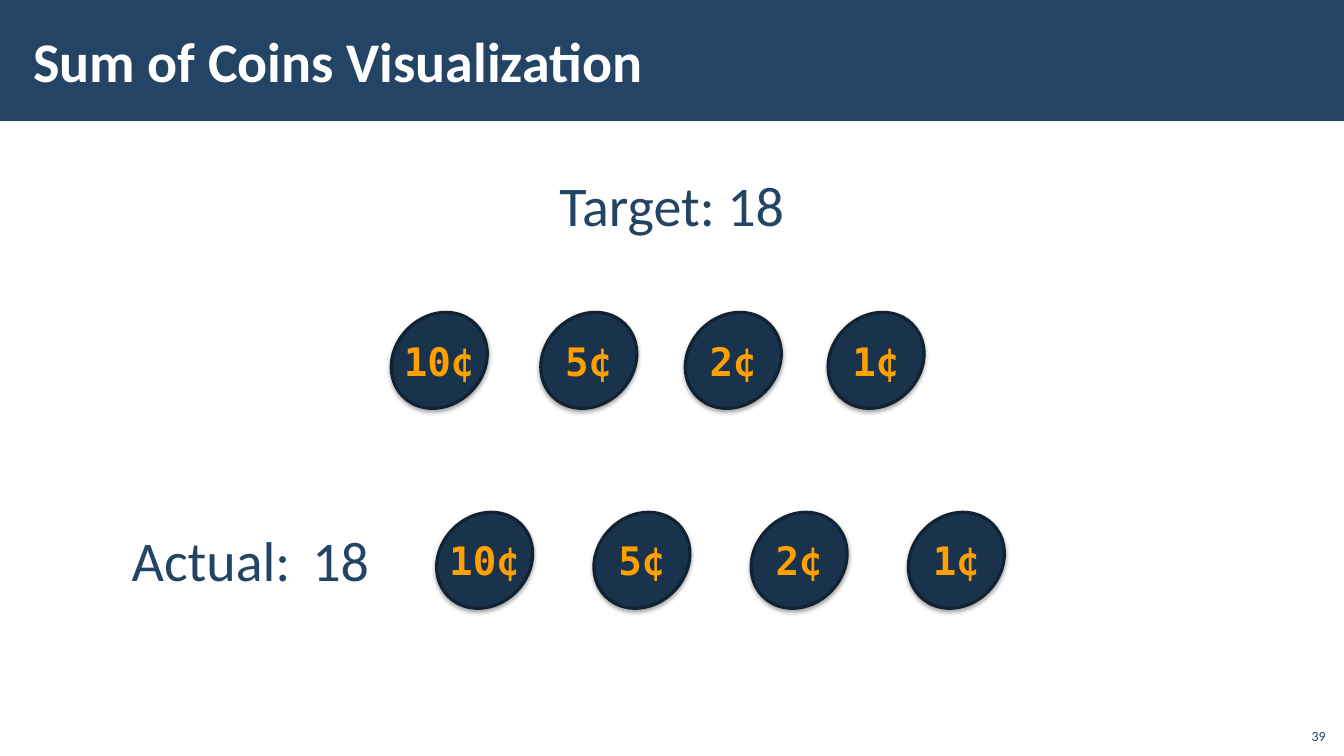
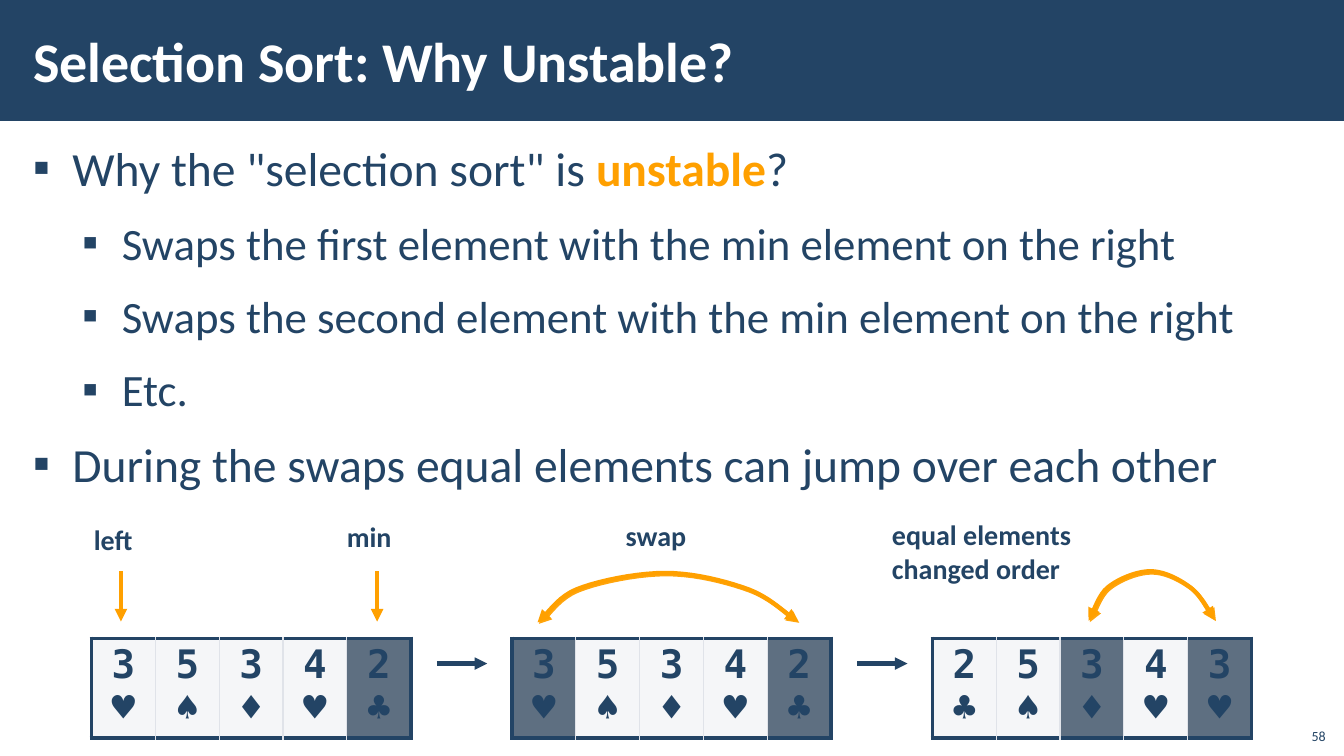
from dataclasses import dataclass

from lxml.etree import SubElement
from pptx import Presentation
from pptx.dml.color import RGBColor
from pptx.enum.shapes import MSO_CONNECTOR, MSO_SHAPE
from pptx.enum.text import MSO_ANCHOR, MSO_AUTO_SIZE, PP_ALIGN
from pptx.oxml.ns import qn
from pptx.presentation import Presentation as Deck
from pptx.slide import Slide
from pptx.text.text import TextFrame
from pptx.util import Emu, Inches, Pt

NAVY = RGBColor(0x23, 0x44, 0x65)
DARK_BLUE = RGBColor(0x1A, 0x33, 0x4C)
COIN_EDGE = RGBColor(0x11, 0x22, 0x33)
ORANGE = RGBColor(0xFF, 0xA0, 0x00)
ORANGE_SHADOW = RGBColor(0xFF, 0xA5, 0x0D)
PALE_GREY = RGBColor(0xE0, 0xE3, 0xE9)
WHITE = RGBColor(0xFF, 0xFF, 0xFF)
BLACK = RGBColor(0x00, 0x00, 0x00)

BODY_FONT = "Calibri"
MONO_FONT = "DejaVu Sans Mono"

SLIDE_WIDTH = Inches(13.33)
SLIDE_HEIGHT = Inches(7.5)
COLUMN_COUNT = 160
ROW_COUNT = 90

COIN_NAMES = ["10¢", "5¢", "2¢", "1¢"]
COIN_TILT = 45
HAND_LEFT = 10.9
HAND_STEP = 50.05
HAND_TOP = 76
CARD_WIDTH = 7.6
CARD_HEIGHT = 11.6
ARC_NODES = [
    (0, 1), (0.03, 0.9), (0.07, 0.5), (0.15, 0.33),
    (0.23, 0.16), (0.38, 0), (0.49, 0),
    (0.6, 0), (0.72, 0.16), (0.81, 0.33),
    (0.9, 0.51), (0.96, 0.86), (1, 0.98),
]
ARC_STEPS = 10


def across(columns: float) -> Emu:
    return Emu(round(SLIDE_WIDTH * columns / COLUMN_COUNT))


def down(rows: float) -> Emu:
    return Emu(round(SLIDE_HEIGHT * rows / ROW_COUNT))


@dataclass(frozen=True)
class Area:
    left: float
    top: float
    width: float
    height: float

    def lengths(self) -> tuple[Emu, Emu, Emu, Emu]:
        return across(self.left), down(self.top), across(self.width), down(self.height)


@dataclass(frozen=True)
class Label:
    lines: tuple[str, ...]
    area: Area
    size: int
    bold: bool = False


@dataclass(frozen=True)
class Bullet:
    spans: tuple[str, ...]
    level: int = 0
    size: int = 34


@dataclass(frozen=True)
class Hand:
    cards: tuple[str, ...]
    marked: tuple[int, ...]


@dataclass(frozen=True)
class Arrow:
    start: tuple[float, float]
    end: tuple[float, float]
    color: RGBColor


BULLETS = [
    Bullet(('Why the "selection sort" is ', "unstable", "?")),
    Bullet(("Swaps the first element with the min element on the right",), 1, 32),
    Bullet(("Swaps the second element with the min element on the right",), 1, 32),
    Bullet(("Etc.",), 1, 32),
    Bullet(("During the swaps equal elements can jump over each other",)),
]
HANDS = [
    Hand(("3♥", "5♠", "3♦", "4♥", "2♣"), (4,)),
    Hand(("3♥", "5♠", "3♦", "4♥", "2♣"), (0, 4)),
    Hand(("2♣", "5♠", "3♦", "4♥", "3♥"), (2, 4)),
]
COIN_LABELS = [
    Label(("Target: 18",), Area(65.4, 19.7, 29.5, 9.2), 40),
    Label(("Actual:",), Area(14.5, 62, 21.5, 9.2), 40),
    Label(("18",), Area(36, 62, 9.2, 9.2), 40),
]
SORT_LABELS = [
    Label(("left",), Area(10, 61.6, 7.2, 5.3), 20, True),
    Label(("min",), Area(40.1, 61.3, 7.8, 5.3), 20, True),
    Label(("swap",), Area(73.3, 61.1, 9.7, 5.3), 20, True),
    Label(("equal elements", "changed order"), Area(105, 61, 24.4, 9.2), 20, True),
]
ARROWS = [Arrow((column, 68), (column, 74), ORANGE) for column in (14.4, 44.9)] + [
    Arrow((left + 41.1, 79), (left + 47.1, 79), NAVY)
    for left in (HAND_LEFT, HAND_LEFT + HAND_STEP)
]
ARCS = [Area(64, 68.2, 31, 5.9), Area(129.6, 68, 15, 5.9)]


def set_font(font, size: float, color: RGBColor, bold: bool = False, name: str = BODY_FONT) -> None:
    font.name = name
    font.size = Pt(size)
    font.bold = bold
    font.color.rgb = color


def set_insets(frame: TextFrame, horizontal: float, vertical: float) -> None:
    frame.margin_left = frame.margin_right = Inches(horizontal)
    frame.margin_top = frame.margin_bottom = Inches(vertical)


def add_color(parent, color: RGBColor, opacity: int = 100) -> None:
    tint = SubElement(parent, qn("a:srgbClr"), val=str(color))
    if opacity < 100:
        SubElement(tint, qn("a:alpha"), val=str(opacity * 1000))


def cast_shadow(shape, color: RGBColor, opacity: int, blur: float, distance: float, angle: int) -> None:
    shape.shadow.inherit = False
    effects = shape._element.spPr.find(qn("a:effectLst"))
    outer = SubElement(
        effects, qn("a:outerShdw"), blurRad=str(Pt(blur)), dist=str(Pt(distance)),
        dir=str(angle * 60000), rotWithShape="0",
    )
    add_color(outer, color, opacity)


def add_arrowheads(shape, *ends: str) -> None:
    outline = shape._element.spPr.find(qn("a:ln"))
    for end in ends:
        SubElement(outline, qn(f"a:{end}"), type="triangle")


def add_page(deck: Deck, heading: str, number: str) -> Slide:
    page = deck.slides.add_slide(deck.slide_layouts[5])
    band = page.shapes.add_shape(MSO_SHAPE.RECTANGLE, *Area(0, 0, COLUMN_COUNT, 14.4).lengths())
    band.fill.solid()
    band.fill.fore_color.rgb = NAVY
    band.line.fill.background()
    band.shadow.inherit = False
    page.shapes._spTree.insert(2, band._element)

    title = page.shapes.title
    title.left, title.top, title.width, title.height = Area(2.5, 1.3, 127.6, 11.6).lengths()
    frame = title.text_frame
    frame.text = heading
    frame.auto_size = MSO_AUTO_SIZE.NONE
    frame.vertical_anchor = MSO_ANCHOR.MIDDLE
    set_insets(frame, 0.12, 0.04)
    para = frame.paragraphs[0]
    para.alignment = PP_ALIGN.LEFT
    set_font(para.font, 40, WHITE, True)

    box = page.shapes.add_textbox(*Area(154.2, 85.4, 4.8, 3.8).lengths())
    box.text_frame.text = number
    box.text_frame.word_wrap = True
    box.text_frame.vertical_anchor = MSO_ANCHOR.BOTTOM
    para = box.text_frame.paragraphs[0]
    para.alignment = PP_ALIGN.RIGHT
    set_font(para.font, 10, NAVY)
    return page


def add_label(page: Slide, label: Label) -> None:
    frame = page.shapes.add_textbox(*label.area.lengths()).text_frame
    frame.word_wrap = False
    frame.text = "\n".join(label.lines)
    for para in frame.paragraphs:
        set_font(para.font, label.size, NAVY, label.bold)


def add_coin(page: Slide, name: str, center: float, middle: float) -> None:
    width, height = 12.2, 10.6
    area = Area(center - width / 2, middle - height / 2, width, height)
    coin = page.shapes.add_shape(MSO_SHAPE.OVAL, *area.lengths())
    coin.rotation = -COIN_TILT
    coin.fill.solid()
    coin.fill.fore_color.rgb = DARK_BLUE
    coin.line.color.rgb = COIN_EDGE
    coin.line.width = Pt(2.25)
    cast_shadow(coin, BLACK, 35, 3.1, 1.8, 90)
    frame = coin.text_frame
    frame.text = name
    frame.word_wrap = False
    frame.vertical_anchor = MSO_ANCHOR.MIDDLE
    set_insets(frame, 0, 0)
    frame._txBody.bodyPr.set("rot", str(COIN_TILT * 60000))
    para = frame.paragraphs[0]
    para.alignment = PP_ALIGN.CENTER
    set_font(para.font, 28, ORANGE, True, MONO_FONT)


def add_bullets(page: Slide, bullets: list[Bullet]) -> None:
    frame = page.shapes.add_textbox(*Area(2.5, 15.7, 155, 72.6).lengths()).text_frame
    frame.word_wrap = True
    set_insets(frame, 0.12, 0.04)
    for index, bullet in enumerate(bullets):
        para = frame.add_paragraph() if index else frame.paragraphs[0]
        para.level = bullet.level
        para.line_spacing = 1.05
        para.space_before = para.space_after = Pt(6)
        properties = para._p.get_or_add_pPr()
        properties.set("marL", str(Inches(0.39 + 0.49 * bullet.level)))
        properties.set("indent", str(Inches(-0.39)))
        SubElement(properties, qn("a:buFont"), typeface=BODY_FONT)
        SubElement(properties, qn("a:buChar"), char="▪")
        set_font(para.font, bullet.size, NAVY)
        for position, words in enumerate(bullet.spans):
            span = para.add_run()
            span.text = words
            emphasised = position == 1
            set_font(span.font, bullet.size, ORANGE if emphasised else NAVY, emphasised)


def add_hand(page: Slide, hand: Hand, left: float) -> None:
    count = len(hand.cards)
    area = Area(left, HAND_TOP, CARD_WIDTH * count, CARD_HEIGHT)
    table = page.shapes.add_table(1, count, *area.lengths()).table
    table.first_row = table.horz_banding = False
    for index, card in enumerate(hand.cards):
        table.columns[index].width = across(CARD_WIDTH)
        cell = table.cell(0, index)
        cell.text = card
        para = cell.text_frame.paragraphs[0]
        para.alignment = PP_ALIGN.CENTER
        para.line_spacing = 0.95
        set_font(para.font, 28, NAVY, True, MONO_FONT)
        properties = cell._tc.get_or_add_tcPr()
        outer_sides = {"lnL": index == 0, "lnR": index == count - 1, "lnT": True, "lnB": True}
        for side, outer in outer_sides.items():
            border = SubElement(properties, qn(f"a:{side}"), w=str(Pt(3 if outer else 1)))
            add_color(SubElement(border, qn("a:solidFill")), NAVY if outer else PALE_GREY)
        color, opacity = (DARK_BLUE, 70) if index in hand.marked else (PALE_GREY, 30)
        add_color(SubElement(properties, qn("a:solidFill")), color, opacity)


def add_arrow(page: Slide, arrow: Arrow) -> None:
    (start_column, start_row), (end_column, end_row) = arrow.start, arrow.end
    line = page.shapes.add_connector(
        MSO_CONNECTOR.STRAIGHT, across(start_column), down(start_row), across(end_column), down(end_row)
    )
    line.line.color.rgb = arrow.color
    line.line.width = Pt(3)
    add_arrowheads(line, "tailEnd")
    SubElement(line._element.spPr, qn("a:effectLst"))


def add_arc(page: Slide, area: Area) -> None:
    left, top, width, height = area.lengths()
    points = [(left, top + height)]
    for first in range(0, len(ARC_NODES) - 1, 3):
        nodes = ARC_NODES[first:first + 4]
        for step in range(1, ARC_STEPS + 1):
            t = step / ARC_STEPS
            weights = ((1 - t) ** 3, 3 * t * (1 - t) ** 2, 3 * t * t * (1 - t), t ** 3)
            x = sum(weight * node[0] for weight, node in zip(weights, nodes))
            y = sum(weight * node[1] for weight, node in zip(weights, nodes))
            points.append((round(left + width * x), round(top + height * y)))
    builder = page.shapes.build_freeform(*points[0])
    builder.add_line_segments(points[1:], close=False)
    arc = builder.convert_to_shape()
    arc.fill.background()
    arc.line.color.rgb = ORANGE
    arc.line.width = Pt(3)
    add_arrowheads(arc, "headEnd", "tailEnd")
    cast_shadow(arc, ORANGE_SHADOW, 100, 0, 1.4, 45)


def build_coins_page(deck: Deck) -> None:
    page = add_page(deck, "Sum of Coins Visualization", "39")
    target_centers = [52.3, 70.1, 87.3, 104.3]
    actual_centers = [57.7 + 18.72 * index for index in range(len(COIN_NAMES))]
    for centers, middle in ((target_centers, 42.9), (actual_centers, 66.7)):
        for name, center in zip(COIN_NAMES, centers):
            add_coin(page, name, center, middle)
    for label in COIN_LABELS:
        add_label(page, label)


def build_sort_page(deck: Deck) -> None:
    page = add_page(deck, "Selection Sort: Why Unstable?", "58")
    add_bullets(page, BULLETS)
    for index, hand in enumerate(HANDS):
        add_hand(page, hand, HAND_LEFT + HAND_STEP * index)
    for arrow in ARROWS:
        add_arrow(page, arrow)
    for area in ARCS:
        add_arc(page, area)
    for label in SORT_LABELS:
        add_label(page, label)


def main() -> None:
    deck = Presentation()
    deck.slide_width = SLIDE_WIDTH
    deck.slide_height = SLIDE_HEIGHT
    build_coins_page(deck)
    build_sort_page(deck)
    deck.save("out.pptx")


if __name__ == "__main__":
    main()
